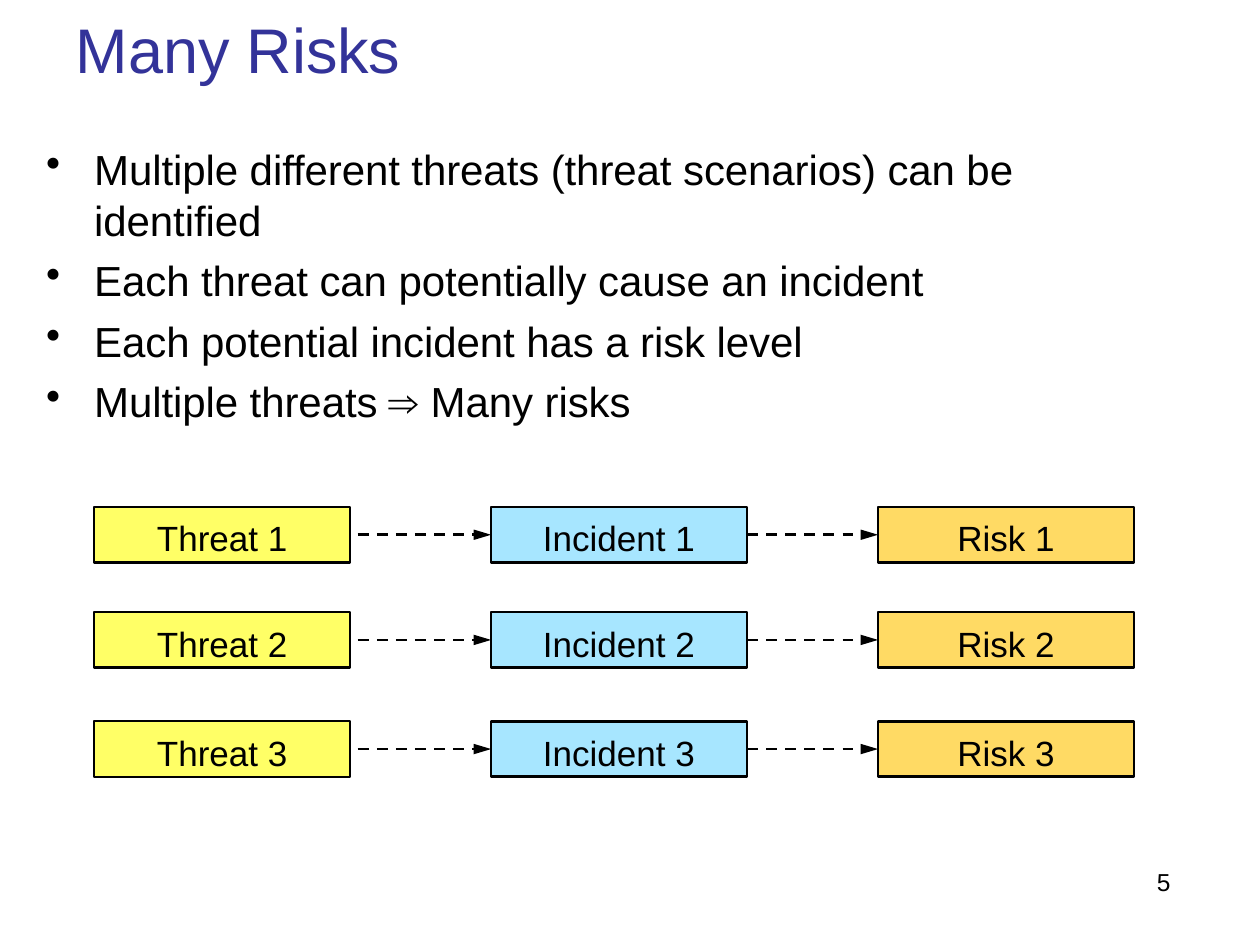
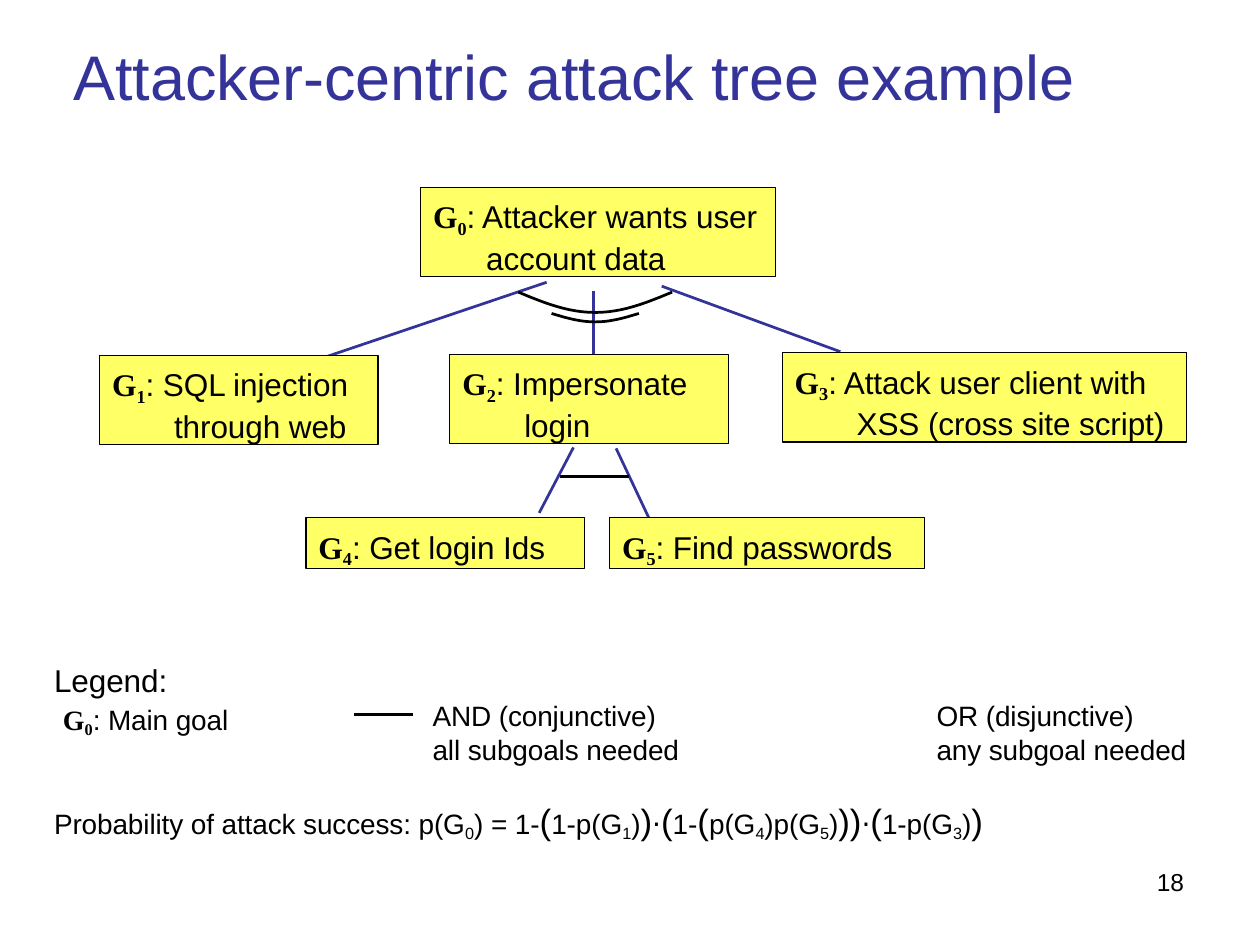
import math

import lxml.etree
import pptx
import pptx.dml.color
import pptx.enum.dml
import pptx.enum.shapes
import pptx.enum.text
import pptx.oxml.ns
import pptx.util
from pptx.util import Cm

BLACK, NAVY, YELLOW, BLUE, ORANGE = "000000", "333399", "FFFF66", "A7E6FF", "FFDA64"
RECTANGLE = pptx.enum.shapes.MSO_SHAPE.RECTANGLE
STRAIGHT = pptx.enum.shapes.MSO_CONNECTOR.STRAIGHT
ALIGN = pptx.enum.text.PP_ALIGN
qn = pptx.oxml.ns.qn


def rgb(color):
    return pptx.dml.color.RGBColor.from_string(color)


def write(shape, text, size=16, color=BLACK, align=ALIGN.LEFT, inset=0.06,
          left=0, hanging=0, before=0, spacing=-5, bullet=None):
    """Add a paragraph whose pieces, split at |, may start with marks:
    * bold serif, _ subscript, ^ large."""
    frame = shape.text_frame
    frame.word_wrap = True
    frame.auto_size = pptx.enum.text.MSO_AUTO_SIZE.NONE
    frame.vertical_anchor = pptx.enum.text.MSO_ANCHOR.TOP
    frame.margin_left = frame.margin_right = frame.margin_bottom = 0
    paragraph = frame.paragraphs[0]
    if frame.text:
        paragraph = frame.add_paragraph()
        paragraph.space_before = pptx.util.Pt(before)
    else:
        frame.margin_top = Cm(inset)
    paragraph.alignment = align
    properties = paragraph._p.get_or_add_pPr()
    properties.set("marL", str(Cm(left)))
    properties.set("indent", str(Cm(-hanging)))
    if bullet:
        lxml.etree.SubElement(properties, qn("a:buChar")).set("char", bullet)
    for piece in text.split("|"):
        words = piece.lstrip("*_^")
        marks = piece[:len(piece) - len(words)]
        run = paragraph.add_run()
        run.text = words
        run.font.name = "Times New Roman" if "*" in marks else "Arial"
        run.font.size = pptx.util.Pt(20 if "^" in marks else size)
        run.font.bold = "*" in marks
        run.font.color.rgb = rgb(color)
        run._r.get_or_add_rPr().set("spc", str(spacing))
        if "_" in marks:
            run._r.get_or_add_rPr().set("baseline", "-21000")


deck = pptx.Presentation()
deck.slide_width, deck.slide_height = Cm(25.4), Cm(19.05)

# Titles and page numbers
slides = []
for heading, left, top, number in [
    ("Many Risks", 1.53, 0.15, "5"),
    ("Attacker-centric attack tree example", 1.48, 0.69, "18"),
]:
    slide = deck.slides.add_slide(deck.slide_layouts[5])
    title = slide.shapes.title
    title.left, title.top, title.width, title.height = Cm(left), Cm(top), Cm(22), Cm(1.6)
    write(title, heading, size=36, color=NAVY)
    page = slide.shapes.add_textbox(Cm(23.22), Cm(17.42), Cm(0.9), Cm(0.66))
    write(page, number, size=14, left=0.1, spacing=0)
    slides.append(slide.shapes)
risks, tree = slides

boxes = []  # shape, fill, outline width
lines = []  # connector or curve, colour

# Many risks
points = risks.add_textbox(Cm(0.91), Cm(2.84), Cm(19.66), Cm(5.77))
for point in [
    "Multiple different threats (threat scenarios) can be identified",
    "Each threat can potentially cause an incident",
    "Each potential incident has a risk level",
    "Multiple threats ⇒ Many risks",
]:
    write(points, point, size=24, left=0.99, hanging=0.97, before=5.8, bullet="•")

box_width, box_height = 5.16, 1.12
stages = [("Threat", 1.9, YELLOW, 1.32), ("Incident", 9.9, BLUE, 1.56), ("Risk", 17.7, ORANGE, 1.56)]
for number, top in enumerate([10.22, 12.34, 14.54], start=1):
    chain = []
    for stage, left, fill, outline in stages:
        box = risks.add_shape(RECTANGLE, Cm(left), Cm(top), Cm(box_width), Cm(box_height))
        write(box, f"{stage} {number}", size=20, align=ALIGN.CENTER, inset=0.2, spacing=0)
        boxes.append((box, fill, outline))
        chain.append(box)
    threat, incident, risk = chain
    middle = incident.top + incident.height // 2
    for start, target in [(Cm(7.21), incident), (incident.left + incident.width, risk)]:
        arrow = risks.add_connector(STRAIGHT, start, middle, target.left, middle)
        if target is risk:
            arrow.begin_connect(incident, 3)
        arrow.end_connect(target, 1)
        arrow.line.dash_style = pptx.enum.dml.MSO_LINE.DASH
        lines.append((arrow, BLACK))

# Attack tree
for color, x1, y1, x2, y2 in [
    (NAVY, 11.02, 5.69, 6.58, 7.19),
    (NAVY, 11.96, 5.87, 11.96, 7.14),
    (NAVY, 13.34, 5.77, 16.94, 7.09),
    (NAVY, 11.56, 9.02, 10.87, 10.34),
    (NAVY, 12.42, 9.04, 13.08, 10.44),
    (BLACK, 11.28, 9.6, 12.67, 9.6),
    (BLACK, 7.14, 14.4, 8.33, 14.4),
]:
    lines.append((tree.add_connector(STRAIGHT, Cm(x1), Cm(y1), Cm(x2), Cm(y2)), color))

steps = 12
for half_width, top, depth in [(1.55, 5.89, 0.41), (0.88, 6.32, 0.17)]:
    curve = [
        (Cm(12 + half_width * step / steps),
         Cm(top + depth * math.cos(math.pi / 2 * step / steps)))
        for step in range(-steps, steps + 1)
    ]
    builder = tree.build_freeform(*curve[0])
    builder.add_line_segments(curve[1:], close=False)
    or_arc = builder.convert_to_shape()
    or_arc.fill.background()
    or_arc.shadow.inherit = False
    lines.append((or_arc, BLACK))

for number, (goal, left, top, width, height) in enumerate([
    ("Attacker wants user account data", 8.48, 3.78, 7.16, 1.8),
    ("SQL injection through web", 2.01, 7.16, 5.61, 1.8),
    ("Impersonate login", 9.07, 7.14, 5.61, 1.8),
    ("Attack user client with XSS (cross site script)", 15.77, 7.11, 8.15, 1.8),
    ("Get login Ids", 6.17, 10.44, 5.61, 1.02),
    ("Find passwords", 12.29, 10.44, 6.35, 1.02),
]):
    node = tree.add_shape(RECTANGLE, Cm(left), Cm(top), Cm(width), Cm(height))
    indent = 1.5 if number in (1, 2, 3) else 1.32
    write(node, f"*G|*_{number}|: {goal}", size=18, inset=0.2, left=indent, hanging=indent - 0.25)
    boxes.append((node, YELLOW, 0.72))

legend = tree.add_textbox(Cm(0.99), Cm(13.08), Cm(5), Cm(1.65))
write(legend, "Legend:", size=18, inset=0.24, left=0.1)
write(legend, "*G|*_0|: Main goal", left=0.28, before=2)

for left, operator, meaning in [
    (8.69, "AND (conjunctive)", "all subgoals needed"),
    (18.85, "OR (disjunctive)", "any subgoal needed"),
]:
    key = tree.add_textbox(Cm(left), Cm(14.02), Cm(5.5), Cm(1.45))
    write(key, operator, left=0.03)
    write(key, meaning, left=0.03, before=0.5)

probability = tree.add_textbox(Cm(0.99), Cm(16.05), Cm(20), Cm(0.91))
write(probability, "Probability of attack success: p(G|_0|) = 1-|^(|1-p(G|_1|)|^)|⋅|^(|1-|^(|"
      "p(G|_4|)p(G|_5|)|^))|⋅|^(|1-p(G|_3|)|^)", left=0.1)

# Shared finish of boxes and lines
for box, fill, outline in boxes:
    box.shadow.inherit = False
    box.fill.solid()
    box.fill.fore_color.rgb = rgb(fill)
    box.line.color.rgb = rgb(BLACK)
    box.line.width = pptx.util.Pt(outline)

for line, color in lines:
    line.line.color.rgb = rgb(color)
    line.line.width = pptx.util.Pt(1.56)
    properties = line._element.spPr
    if line.line.dash_style:
        head = lxml.etree.SubElement(properties.find(qn("a:ln")), qn("a:tailEnd"))
        head.set("type", "triangle")
        head.set("len", "lg")
    if properties.find(qn("a:effectLst")) is None:
        lxml.etree.SubElement(properties, qn("a:effectLst"))

deck.save("out.pptx")
